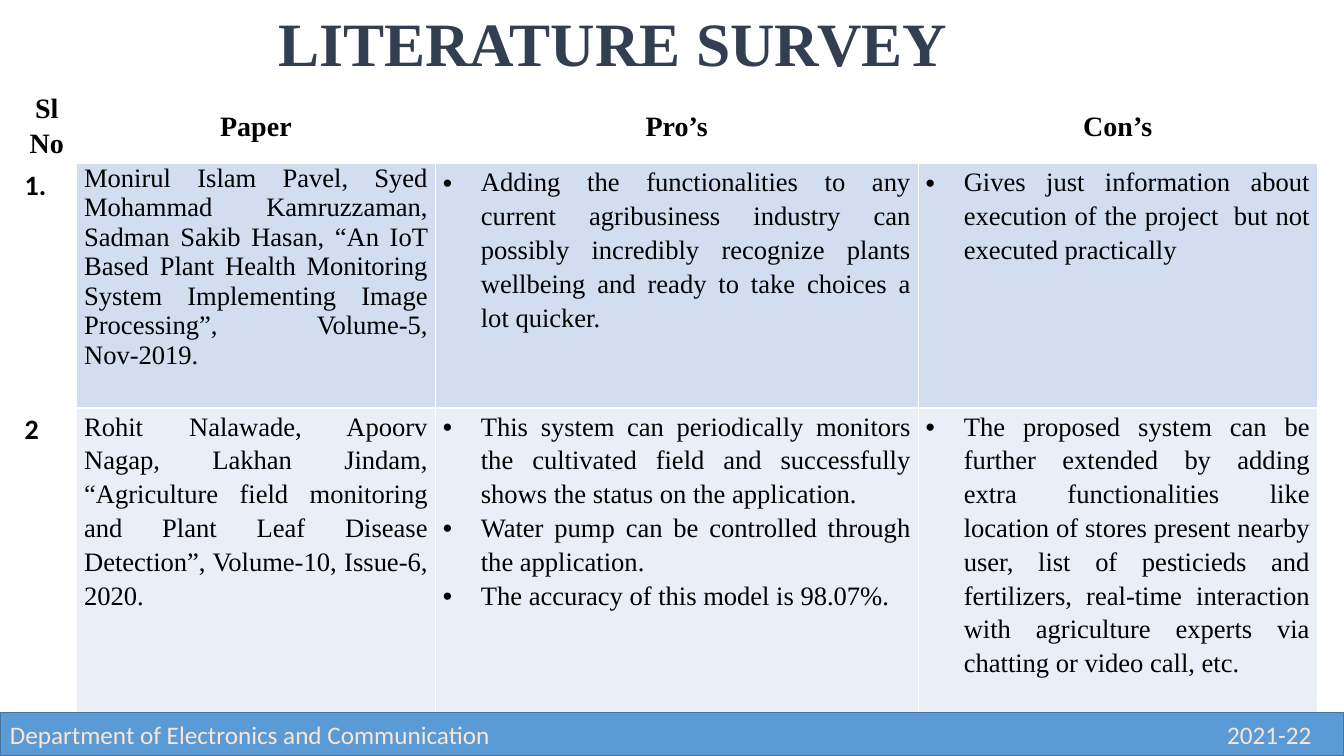
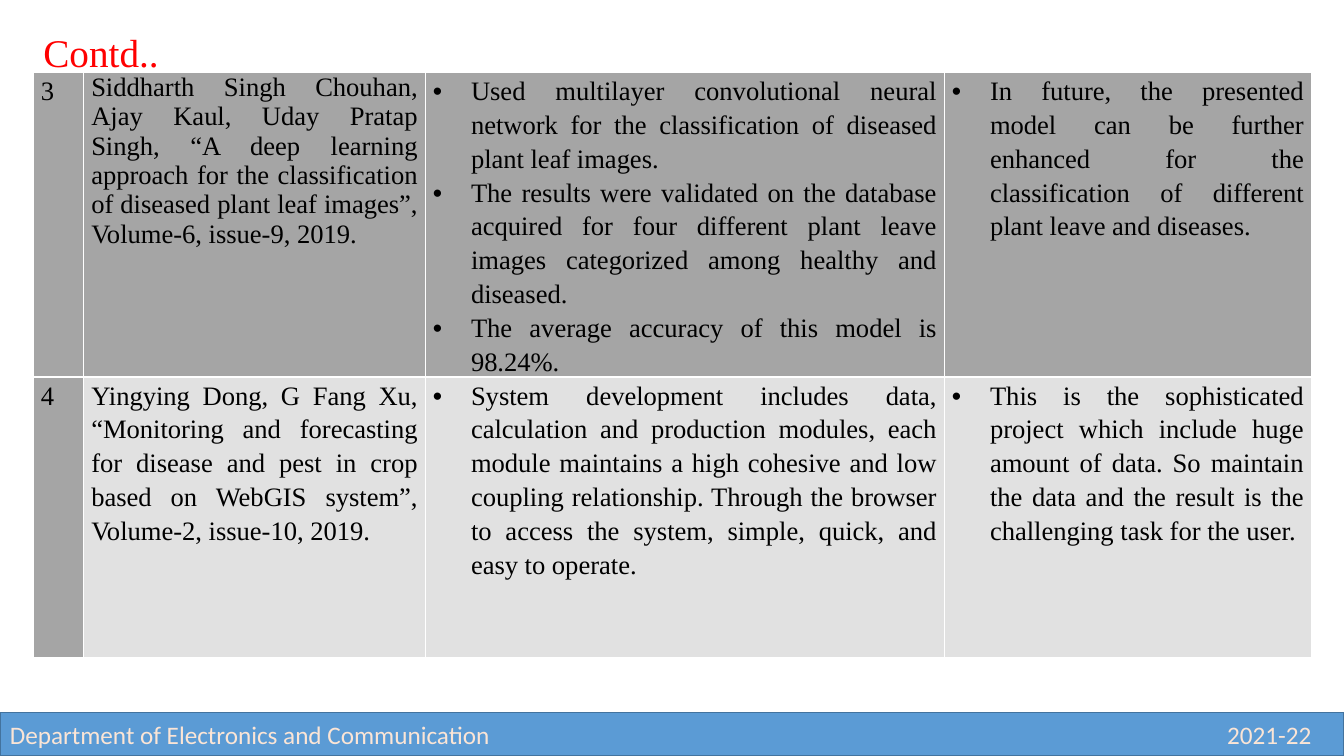
from dataclasses import dataclass

from lxml.etree import SubElement
from pptx import Presentation
from pptx.dml.color import RGBColor
from pptx.enum.shapes import MSO_SHAPE
from pptx.enum.text import MSO_ANCHOR, MSO_AUTO_SIZE, PP_ALIGN
from pptx.oxml.ns import qn
from pptx.util import Cm, Pt

SERIF, SANS = "Times New Roman", "Calibri"
WHITE, BLACK, NAVY, RED, PEACH = "FFFFFF", "000000", "333F50", "FF0000", "FBE5D6"
BAND_BLUE, BAND_EDGE = "5B9BD5", "43739E"
PALE_BLUE, PALER_BLUE = "D2DEEF", "EAEFF7"
GREY, PALE_GREY = "A5A5A5", "E1E1E1"
PAGE_WIDTH, PAGE_HEIGHT = Cm(33.87), Cm(19.05)


def color(hex_code):
    return RGBColor.from_string(hex_code)


@dataclass(frozen=True)
class TextLook:
    size: float
    ink: str = BLACK
    font: str = SERIF
    bold: bool = False
    align: PP_ALIGN = PP_ALIGN.LEFT
    spacing: float = 1.15


HEADING = TextLook(20, bold=True, align=PP_ALIGN.CENTER)
SERIAL = TextLook(20, font=SANS, bold=True)
BODY = TextLook(19, align=PP_ALIGN.JUSTIFY)
TIGHT_BODY = TextLook(19, align=PP_ALIGN.JUSTIFY, spacing=1.0)
MAIN_TITLE = TextLook(44, NAVY, bold=True, align=PP_ALIGN.CENTER, spacing=1.0)
CONTINUED_TITLE = TextLook(28, RED, spacing=1.5)
FOOTER = TextLook(18, PEACH, SANS, spacing=1.0)


def write(frame, text, look):
    frame.text = text
    for paragraph in frame.paragraphs:
        paragraph.alignment = look.align
        paragraph.line_spacing = look.spacing
        paragraph.space_before = Pt(0)
        for run in paragraph.runs:
            run.font.name = look.font
            run.font.size = Pt(look.size)
            run.font.bold = look.bold
            run.font.color.rgb = color(look.ink)


def add_bullet(paragraph):
    properties = paragraph._p.get_or_add_pPr()
    properties.set("marL", str(Cm(0.96)))
    properties.set("indent", str(-Cm(0.96)))
    SubElement(properties, qn("a:buFont"), typeface="Arial")
    SubElement(properties, qn("a:buChar"), char="•")


def add_right_tab(paragraph, position):
    tabs = SubElement(paragraph._p.get_or_add_pPr(), qn("a:tabLst"))
    SubElement(tabs, qn("a:tab"), pos=str(position), algn="r")


class SurveyDeck:
    """Holds the presentation and the slide being filled."""

    def __init__(self):
        self.deck = Presentation()
        self.deck.slide_width, self.deck.slide_height = PAGE_WIDTH, PAGE_HEIGHT
        self.slide = None

    def start_slide(self, title, look, left, width, height):
        self.slide = self.deck.slides.add_slide(self.deck.slide_layouts[5])
        heading = self.slide.shapes.title
        heading.left, heading.top = left, Cm(0)
        heading.width, heading.height = width, height
        frame = heading.text_frame
        frame.word_wrap = False
        frame.auto_size = MSO_AUTO_SIZE.NONE
        frame.vertical_anchor = MSO_ANCHOR.TOP
        write(frame, title, look)

    def table(self, left, top, widths, heights, rows):
        """Each row is a list of cells; a cell is (text, fill, look, bulleted)."""
        grid = self.slide.shapes.add_table(
            len(rows), len(widths), left, top, sum(widths), sum(heights)).table
        for column, width in zip(grid.columns, widths):
            column.width = width
        for row, height, cells in zip(grid.rows, heights, rows):
            row.height = height
            for cell, content in zip(row.cells, cells):
                self.fill_cell(cell, *content)

    def fill_cell(self, cell, text, fill, look, bulleted=False):
        cell.margin_left = cell.margin_right = Cm(0.19)
        cell.margin_top = cell.margin_bottom = Cm(0)
        cell.fill.solid()
        cell.fill.fore_color.rgb = color(fill)
        cell.vertical_anchor = MSO_ANCHOR.MIDDLE if look is HEADING else MSO_ANCHOR.TOP
        write(cell.text_frame, text, look)
        if bulleted:
            for paragraph in cell.text_frame.paragraphs:
                add_bullet(paragraph)

    def footer(self):
        height = Cm(1.09)
        band = self.slide.shapes.add_shape(
            MSO_SHAPE.RECTANGLE, 0, PAGE_HEIGHT - height, PAGE_WIDTH, height)
        band.shadow.inherit = False
        band.fill.solid()
        band.fill.fore_color.rgb = color(BAND_BLUE)
        band.line.color.rgb = color(BAND_EDGE)
        band.line.width = Pt(1)
        frame = band.text_frame
        frame.vertical_anchor = MSO_ANCHOR.MIDDLE
        write(frame, "Department of Electronics and Communication\t2021-22", FOOTER)
        add_right_tab(frame.paragraphs[0], Cm(32.8))

    def save(self):
        self.deck.save("out.pptx")


def paper_row(serial, paper, pros, cons, fill, serial_fill, serial_look, paper_look=BODY):
    return [
        (serial, serial_fill, serial_look),
        (paper, fill, paper_look),
        ("\n".join(pros), fill, BODY, True),
        ("\n".join(cons), fill, BODY, True),
    ]


def add_survey(deck):
    deck.start_slide("LITERATURE SURVEY", MAIN_TITLE, Cm(6.68), Cm(17.55), Cm(2.13))
    headings = [(text, WHITE, HEADING) for text in ("Sl\nNo", "Paper", "Pro’s", "Con’s")]
    plant_health = paper_row(
        "1.",
        "Monirul Islam Pavel, Syed Mohammad Kamruzzaman, Sadman Sakib Hasan, "
        "“An IoT Based Plant Health Monitoring System Implementing Image "
        "Processing”, Volume-5, Nov-2019.",
        ["Adding the functionalities to any current agribusiness industry can possibly "
         "incredibly recognize plants wellbeing and ready to take choices a lot quicker."],
        ["Gives just information about execution of the project  but not executed "
         "practically"],
        PALE_BLUE, WHITE, SERIAL, TIGHT_BODY)
    field_monitoring = paper_row(
        "2",
        "Rohit Nalawade, Apoorv Nagap, Lakhan Jindam, “Agriculture field monitoring "
        "and Plant Leaf Disease Detection”, Volume-10, Issue-6, 2020.",
        ["This system can periodically monitors the cultivated field and successfully "
         "shows the status on the application.",
         "Water pump can be controlled through the application.",
         "The accuracy of this model is 98.07%."],
        ["The proposed system can be further extended by adding extra functionalities "
         "like location of stores present nearby user, list of pesticieds and "
         "fertilizers, real-time interaction with agriculture experts via chatting or "
         "video call, etc."],
        PALER_BLUE, WHITE, SERIAL)
    deck.table(Cm(0.43), Cm(2.13),
               [Cm(1.5), Cm(9.04), Cm(12.17), Cm(10.06)],
               [Cm(2), Cm(6.15), Cm(7.8)],
               [headings, plant_health, field_monitoring])
    deck.footer()


def add_continuation(deck):
    deck.start_slide("Contd..", CONTINUED_TITLE, Cm(0.84), Cm(3.45), Cm(1.83))
    deep_learning = paper_row(
        "3",
        "Siddharth Singh Chouhan, Ajay Kaul, Uday Pratap Singh, “A deep learning "
        "approach for the classification of diseased plant leaf images”, Volume-6, "
        "issue-9, 2019.",
        ["Used multilayer convolutional neural network for the classification of "
         "diseased plant leaf images.",
         "The results were validated on the database acquired for four different plant "
         "leave images categorized among healthy and diseased.",
         "The average accuracy of this model is 98.24%."],
        ["In future, the presented model can be further enhanced for the "
         "classification of different plant leave and diseases."],
        GREY, GREY, BODY, TIGHT_BODY)
    forecasting = paper_row(
        "4",
        "Yingying Dong, G Fang Xu, “Monitoring and forecasting for disease and pest "
        "in crop based on WebGIS system”, Volume-2, issue-10, 2019.",
        ["System development includes data, calculation and production modules, each "
         "module maintains a high cohesive and low coupling relationship. Through the "
         "browser to access the system, simple, quick, and easy to operate."],
        ["This is the sophisticated project which include huge amount of data. So "
         "maintain the data and the result is the challenging task for the user."],
        PALE_GREY, GREY, BODY)
    deck.table(Cm(0.84), Cm(1.83),
               [Cm(1.27), Cm(8.61), Cm(13.08), Cm(9.25)],
               [Cm(7.65), Cm(7.06)],
               [deep_learning, forecasting])
    deck.footer()


def main():
    deck = SurveyDeck()
    add_survey(deck)
    add_continuation(deck)
    deck.save()


if __name__ == "__main__":
    main()
